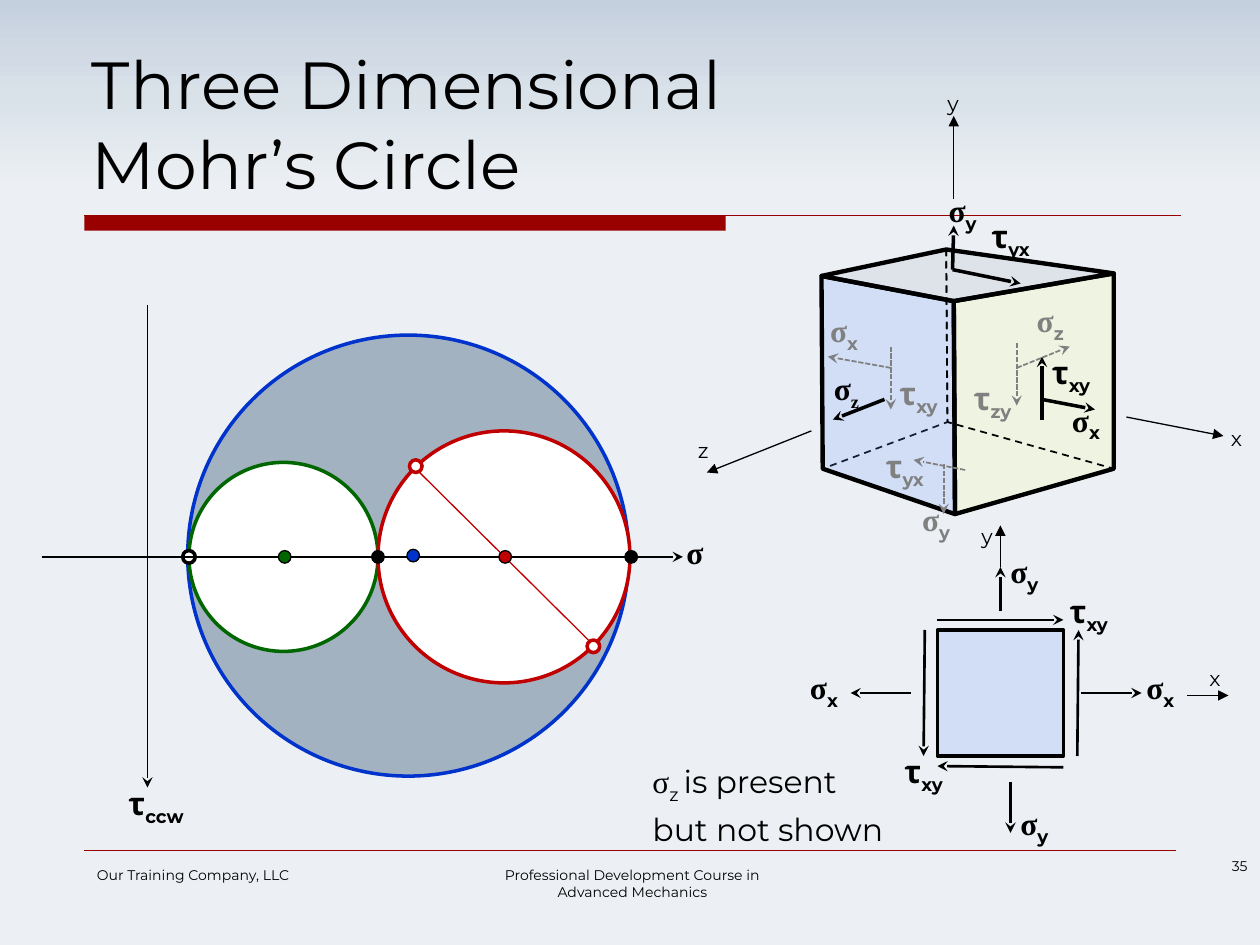
from copy import deepcopy
from dataclasses import dataclass
from typing import Optional

from lxml.etree import SubElement
from pptx import Presentation
from pptx.dml.color import RGBColor
from pptx.enum.dml import MSO_LINE
from pptx.enum.shapes import MSO_CONNECTOR, MSO_SHAPE
from pptx.enum.text import MSO_ANCHOR, PP_ALIGN
from pptx.oxml.ns import qn
from pptx.util import Inches, Pt


@dataclass(frozen=True)
class Theme:
    sans: str = "Montserrat"
    serif: str = "Times New Roman"
    title: int = 38
    body: int = 18
    axis: int = 12
    footer: int = 8
    black: str = "000000"
    white: str = "FFFFFF"
    hidden: str = "808080"
    rule: str = "990000"
    blue: str = "0033CC"
    green: str = "006600"
    red: str = "C00000"
    slate: str = "A3B2C1"
    face_blue: str = "6699FF"
    face_yellow: str = "FFFF99"
    sky: tuple = ((0, "C4D0DE"), (0.1, "D9E1E9"), (0.2, "ECF0F4"))


THEME = Theme()


@dataclass(frozen=True)
class Arrow:
    start: tuple
    end: tuple
    width: float = 2
    head: Optional[str] = "stealth"
    color: str = THEME.black
    dash: Optional[MSO_LINE] = None


@dataclass(frozen=True)
class Circle:
    left: float
    top: float
    size: float
    fill: str
    line: str
    width: float = 2


@dataclass(frozen=True)
class Label:
    symbol: str
    sub: str
    left: float
    top: float
    color: str = THEME.black
    width: float = 0.0
    sub_font: str = THEME.sans


def rgb(color: str) -> RGBColor:
    return RGBColor.from_string(color)


def paint(shape, fill: Optional[str], line: str, width: float, alpha: Optional[int] = None) -> None:
    shape.shadow.inherit = False
    if fill:
        shape.fill.solid()
        shape.fill.fore_color.rgb = rgb(fill)
    else:
        shape.fill.background()
    if alpha:
        color = next(shape.fill._xPr.iter(qn("a:srgbClr")))
        SubElement(color, qn("a:alpha")).set("val", str(alpha * 1000))
    shape.line.color.rgb = rgb(line)
    shape.line.width = Pt(width)


def draw_arrow(page, arrow: Arrow) -> None:
    ends = [Inches(value) for value in (*arrow.start, *arrow.end)]
    line = page.shapes.add_connector(MSO_CONNECTOR.STRAIGHT, *ends)
    line.line.color.rgb = rgb(arrow.color)
    line.line.width = Pt(arrow.width)
    if arrow.dash:
        line.line.dash_style = arrow.dash
    if arrow.head:
        SubElement(line.line._get_or_add_ln(), qn("a:tailEnd")).set("type", arrow.head)
    SubElement(line._element.spPr, qn("a:effectLst"))


def draw_circle(page, circle: Circle) -> None:
    size = Inches(circle.size)
    shape = page.shapes.add_shape(MSO_SHAPE.OVAL, Inches(circle.left), Inches(circle.top), size, size)
    paint(shape, circle.fill, circle.line, circle.width)


def draw_face(page, corners: list, fill: Optional[str] = None) -> None:
    points = [(Inches(x), Inches(y)) for x, y in corners]
    builder = page.shapes.build_freeform(*points[0], scale=1.0)
    builder.add_line_segments(points[1:], close=True)
    shape = builder.convert_to_shape()
    if fill:
        paint(shape, fill, THEME.black, 2.5, 20)
    else:
        paint(shape, None, THEME.black, 1)
        shape.line.dash_style = MSO_LINE.DASH


def style(span, size: int, color: str = THEME.black, font: str = THEME.sans, bold: bool = False) -> None:
    span.font.size = Pt(size)
    span.font.name = font
    span.font.bold = bold
    span.font.color.rgb = rgb(color)


def add_span(para, text: str, font: str, color: str, bold: bool, lowered: bool = False) -> None:
    span = para.add_run()
    span.text = text
    style(span, THEME.body, color, font, bold)
    if lowered:
        span.font._element.set("baseline", "-25000")


def add_box(page, left: float, top: float, width: float, height: float, wrap: bool = True):
    box = page.shapes.add_textbox(Inches(left), Inches(top), Inches(width), Inches(height))
    box.text_frame.word_wrap = wrap
    return box.text_frame


def draw_text(page, text: str, place: tuple, size: int, align: PP_ALIGN = PP_ALIGN.LEFT) -> None:
    frame = add_box(page, *place)
    frame.text = text
    for para in frame.paragraphs:
        para.alignment = align
        for span in para.runs:
            style(span, size)


def draw_label(page, label: Label) -> None:
    sigma = label.symbol == "σ"
    width = label.width or (0.44 if sigma else 0.53)
    frame = add_box(page, label.left, label.top, width, 0.4 if sigma else 0.71, wrap=False)
    para = frame.paragraphs[0]
    add_span(para, label.symbol, THEME.serif if sigma else THEME.sans, label.color, True)
    if label.sub:
        add_span(para, label.sub, label.sub_font, label.color, True, lowered=True)


def draw_frame(page) -> None:
    # Background, rules, footer and title
    fill = page.background.fill
    fill.gradient()
    fill.gradient_angle = 270
    stops = fill.gradient_stops[0]._gs.getparent()
    stops.append(deepcopy(stops[-1]))
    for stop, (position, color) in zip(fill.gradient_stops, THEME.sky):
        stop.position = position
        stop.color.rgb = rgb(color)
    bar = page.shapes.add_shape(MSO_SHAPE.RECTANGLE, Inches(0.67), Inches(1.71), Inches(5.09), Inches(0.12))
    paint(bar, THEME.rule, THEME.rule, 0.75)
    bar.line.fill.background()
    draw_arrow(page, Arrow((0.67, 1.71), (9.37, 1.71), 0.75, None, THEME.rule))
    draw_arrow(page, Arrow((0.67, 6.75), (9.33, 6.75), 0.25, None, THEME.rule))
    draw_text(page, "Our Training Company, LLC", (0.67, 6.83, 2.08, 0.5), THEME.footer)
    draw_text(page, "Professional Development Course in\nAdvanced Mechanics",
              (3.81, 6.83, 2.42, 0.37), THEME.footer, PP_ALIGN.CENTER)
    draw_text(page, "35", (7.92, 6.76, 2.08, 0.5), THEME.footer, PP_ALIGN.RIGHT)
    title = page.shapes.title
    title.left, title.top, title.width, title.height = map(Inches, (0.63, 0.33, 8.75, 1.33))
    title.text_frame.text = "Three Dimensional\vMohr’s Circle"
    title.text_frame.vertical_anchor = MSO_ANCHOR.BOTTOM
    para = title.text_frame.paragraphs[0]
    para.alignment = PP_ALIGN.LEFT
    for span in para.runs:
        style(span, THEME.title)


def draw_mohr_circles(page) -> None:
    t, dot = THEME, 0.1
    draw_arrow(page, Arrow((1.17, 2.42), (1.17, 6.25), 1))
    for circle in (Circle(1.49, 2.66, 3.5, t.slate, t.blue), Circle(1.5, 3.67, 1.5, t.white, t.green),
                   Circle(3, 3.42, 2, t.white, t.red), Circle(4.96, 4.37, dot, t.black, t.black, 0.75),
                   Circle(2.95, 4.37, dot, t.black, t.black, 0.75), Circle(1.45, 4.37, dot, t.white, t.black)):
        draw_circle(page, circle)
    draw_arrow(page, Arrow((3.29, 3.71), (4.71, 5.12), 0.75, None, t.red))
    for left, top in ((3.25, 3.65), (4.66, 5.08)):
        draw_circle(page, Circle(left, top, dot, t.white, t.red))
    draw_arrow(page, Arrow((0.33, 4.42), (5.42, 4.42), 1))
    for left, top, color in ((2.21, 4.37, t.green), (3.23, 4.36, t.blue), (3.96, 4.37, t.red)):
        draw_circle(page, Circle(left, top, dot, color, t.black, 0.75))
    draw_label(page, Label("τ", "ccw", 0.92, 6.17, width=0.7))
    draw_label(page, Label("σ", "", 5.35, 4.18, width=0.34))


def draw_axes(page, axes: tuple) -> None:
    for name, left, top, start, end in axes:
        draw_arrow(page, Arrow(start, end, 0.75, "triangle"))
        draw_text(page, name, (left, top, 0.33, 0.3), THEME.axis)


def draw_cube(page) -> None:
    # Corners: top ring, then bottom ring
    left, front, right, back = (6.52, 2.19), (7.57, 2.39), (8.84, 2.17), (7.51, 1.98)
    low_left, low_front, low_right, low_back = (6.53, 3.72), (7.58, 4.08), (8.84, 3.72), (7.52, 3.35)
    draw_face(page, [low_front, front, right, low_right], THEME.face_yellow)
    draw_face(page, [back, left, low_left, low_back])
    draw_face(page, [low_front, front, left, low_left], THEME.face_blue)
    draw_face(page, [left, front, right, back], THEME.slate)
    draw_face(page, [low_right, right, back, low_back])
    # Stresses on the visible faces
    for start, end in (((7.56, 2.14), (8.1, 2.25)), ((7.56, 2.14), (7.57, 1.79)), ((7.02, 3.17), (6.61, 3.33)),
                       ((8.27, 3.17), (8.69, 3.25)), ((8.27, 3.33), (8.27, 2.83))):
        draw_arrow(page, Arrow(start, end))
    draw_axes(page, (("y", 7.42, 0.67, (7.57, 1.58), (7.57, 0.92)), ("x", 9.67, 3.33, (8.94, 3.31), (9.71, 3.46)),
                     ("z", 5.44, 3.42, (6.44, 3.42), (5.61, 3.75))))
    for label in (Label("σ", "x", 8.41, 3.13), Label("σ", "y", 7.43, 1.47),
                  Label("σ", "z", 6.52, 2.88, sub_font=THEME.serif),
                  Label("τ", "xy", 8.25, 2.75), Label("τ", "yx", 7.77, 1.67)):
        draw_label(page, label)
    # Stresses on the hidden faces
    for start, end in (((7.66, 3.73), (7.25, 3.65)), ((7.49, 3.68), (7.49, 4.08)), ((8.07, 2.92), (8.49, 2.75)),
                       ((8.07, 2.72), (8.07, 3.22)), ((7.07, 2.92), (6.57, 2.83)), ((7.07, 2.75), (7.07, 3.25))):
        draw_arrow(page, Arrow(start, end, 1, color=THEME.hidden, dash=MSO_LINE.SQUARE_DOT))
    for symbol, sub, x, y in (("σ", "y", 7.22, 3.92), ("τ", "yx", 6.93, 3.5), ("σ", "x", 6.49, 2.42),
                              ("σ", "z", 8.13, 2.34), ("τ", "xy", 7.04, 2.92), ("τ", "zy", 7.63, 2.96)):
        draw_label(page, Label(symbol, sub, x, y, THEME.hidden))


def draw_plane_element(page) -> None:
    square = page.shapes.add_shape(MSO_SHAPE.RECTANGLE, Inches(7.44), Inches(5), Inches(1), Inches(1))
    paint(square, THEME.face_blue, THEME.black, 2, 20)
    for start, end in (((7.94, 4.85), (7.94, 4.5)), ((8.02, 6.21), (8.02, 6.61))):
        draw_arrow(page, Arrow(start, end))
    for start, end in (((7.44, 4.92), (8.44, 4.92)), ((8.44, 6.09), (7.44, 6.08)), ((8.55, 6), (8.56, 5)),
                       ((7.34, 5), (7.33, 6)), ((8.58, 5.5), (9.06, 5.5)), ((7.23, 5.5), (6.75, 5.5))):
        draw_arrow(page, Arrow(start, end, 1.5))
    draw_axes(page, (("y", 7.69, 4.11, (7.94, 4.5), (7.94, 4.17)), ("x", 9.5, 5.23, (9.42, 5.52), (9.75, 5.52))))
    for symbol, sub, x, y in (("τ", "xy", 8.39, 4.65), ("τ", "xy", 7.08, 5.92), ("σ", "x", 9, 5.25),
                              ("σ", "x", 6.33, 5.25), ("σ", "y", 7.92, 4.33), ("σ", "y", 8, 6.33)):
        draw_label(page, Label(symbol, sub, x, y))
    # Remark beside the element
    frame = add_box(page, 5.08, 6, 2.19, 0.71, wrap=False)
    para = frame.paragraphs[0]
    add_span(para, "σ", THEME.serif, THEME.black, False)
    add_span(para, "z ", THEME.sans, THEME.black, False, lowered=True)
    add_span(para, "is present", THEME.sans, THEME.black, False)
    para = frame.add_paragraph()
    para.space_before = Pt(2.5)
    add_span(para, "but not shown", THEME.sans, THEME.black, False)


def main() -> None:
    deck = Presentation()
    deck.slide_width, deck.slide_height = Inches(10), Inches(7.5)
    page = deck.slides.add_slide(deck.slide_layouts[5])
    for draw in (draw_frame, draw_mohr_circles, draw_cube, draw_plane_element):
        draw(page)
    deck.save("out.pptx")


if __name__ == "__main__":
    main()
